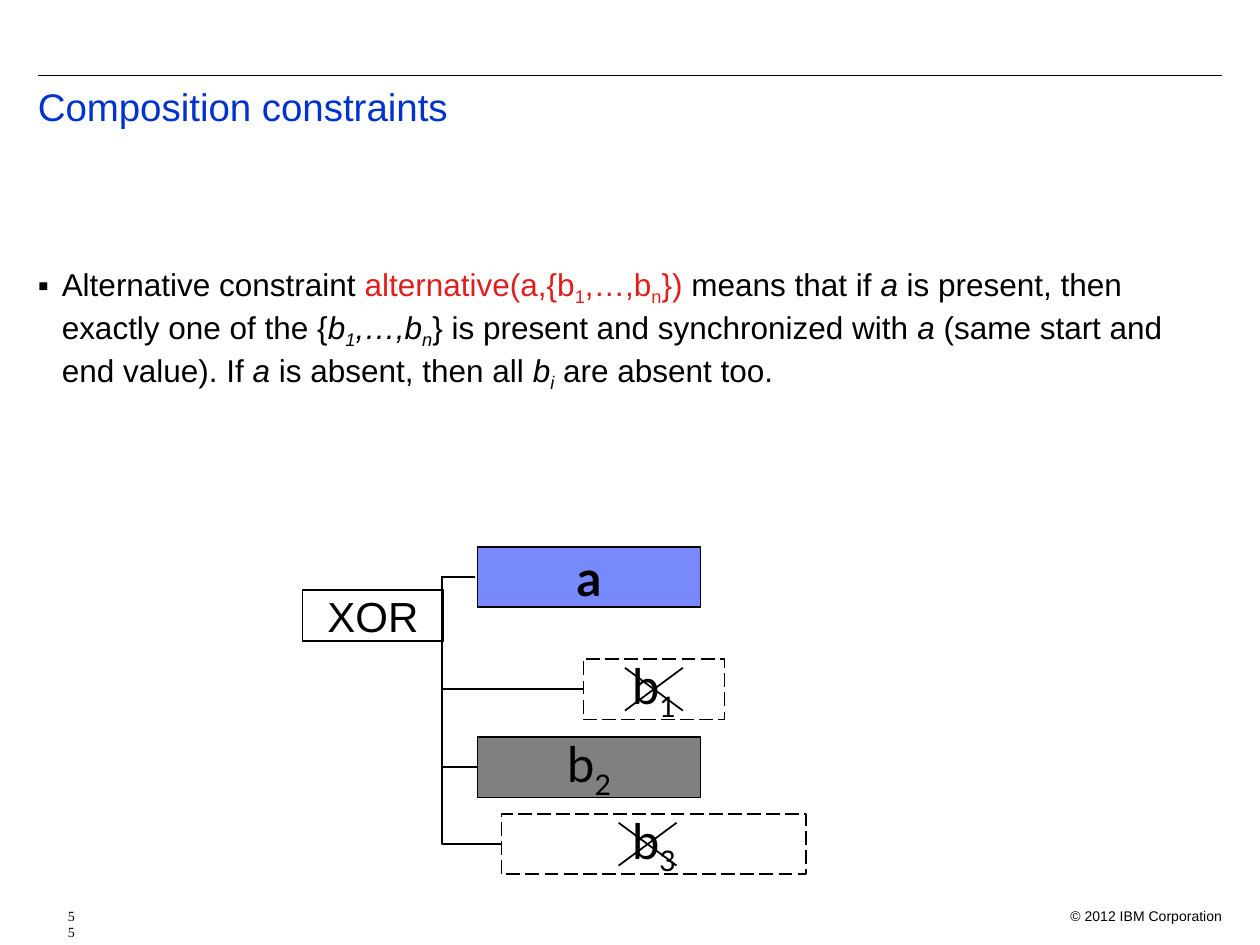
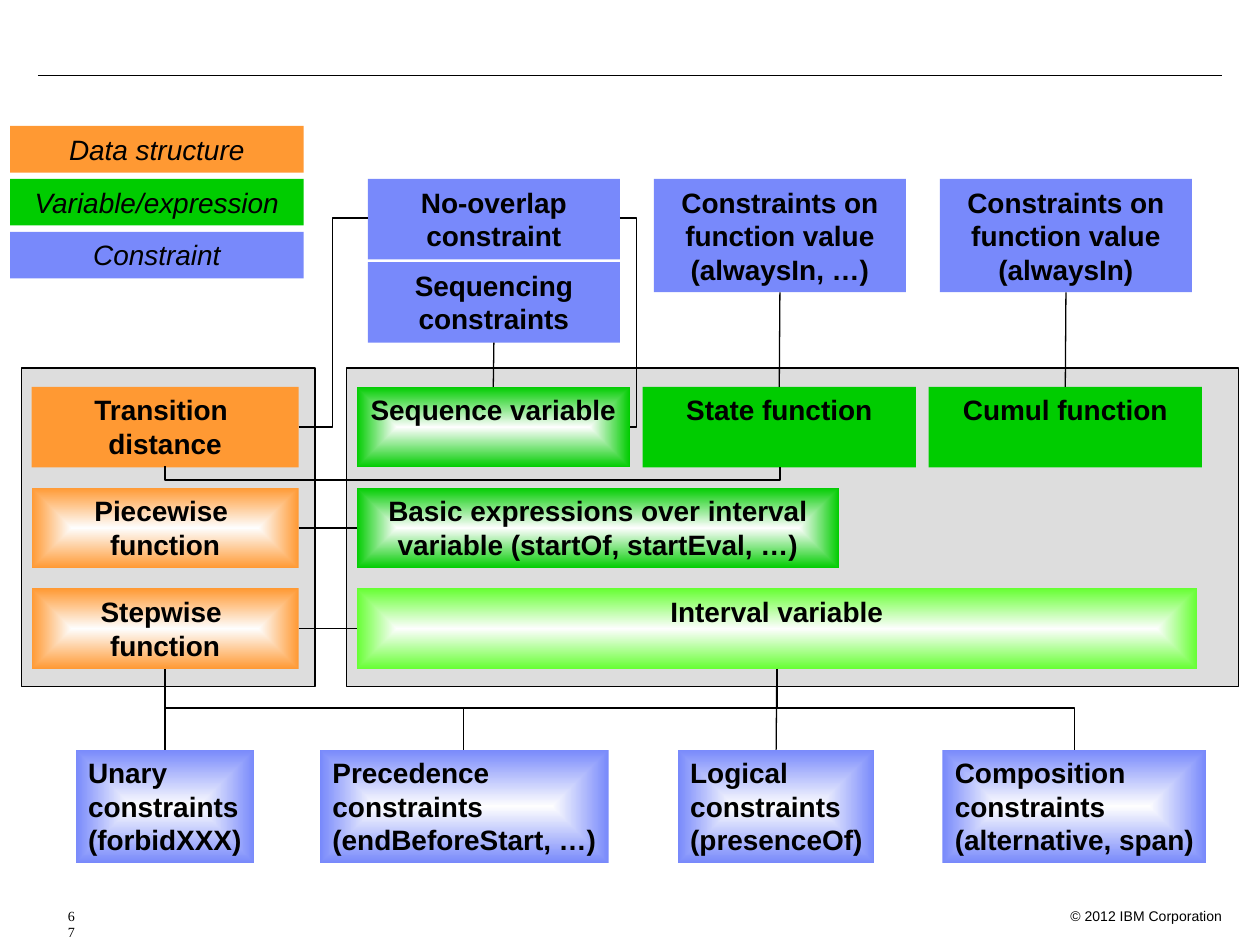
from pptx import Presentation
from pptx.dml.color import RGBColor
from pptx.enum import dml, shapes, text
from pptx.oxml import parse_xml
from pptx.oxml.ns import nsdecls, qn
from pptx.util import Inches, Pt

WIDTH, HEIGHT = 10, 7.5
BLACK, WHITE, PANEL_GREY, MID_GREY = "000000", "FFFFFF", "DDDDDD", "808080"
TITLE_BLUE, RED = "0033CC", "E01E1E"
ORANGE, GREEN, LIME, BLUE = "FF9933", "00CC00", "66FF33", "7889FB"
BODY_FONT, BOX_FONT, NUMBER_FONT = "Arial", "Lato", "Times New Roman"
LEFT, CENTER, RIGHT = text.PP_ALIGN.LEFT, text.PP_ALIGN.CENTER, text.PP_ALIGN.RIGHT
TOP_SIDE, LEFT_SIDE, BOTTOM_SIDE, RIGHT_SIDE = range(4)
DASH = dml.MSO_LINE.LONG_DASH

# Grid of the concept map
DATA_LEFT, DATA_WIDTH = 0.25, 2.12
VARIABLE_LEFT, COLUMN_STEP, COLUMN_WIDTH = 2.83, 2.27, 2.17
ROW_TOP, ROW_STEP = 3.07, 0.8
TWO_LINES, THREE_LINES = 0.64, 0.9
CONSTRAINT_TOP, LEAF_TOP = 1.42, 5.95


def color(hex_string):
    return RGBColor.from_string(hex_string)


def write(paragraph, content, size=16, font=BODY_FONT, ink=BLACK, bold=False,
          italic=False, align=LEFT):
    """Write a string, or (text, flags) pairs: i italic, s subscript, r red."""
    paragraph.alignment = align
    runs = [(content, "")] if isinstance(content, str) else content
    for words, flags in runs:
        run = paragraph.add_run()
        run.text = words
        run.font.name, run.font.size = font, Pt(size)
        run.font.bold, run.font.italic = bold, italic or "i" in flags
        run.font.color.rgb = color(RED if "r" in flags else ink)
        if "s" in flags:
            run.font._element.set("baseline", "-25000")


def write_lines(frame, lines, anchor=text.MSO_ANCHOR.TOP, wrap=True, **style):
    frame.word_wrap = wrap
    frame.auto_size = text.MSO_AUTO_SIZE.NONE
    frame.vertical_anchor = anchor
    for index, line in enumerate(lines):
        paragraph = frame.add_paragraph() if index else frame.paragraphs[0]
        write(paragraph, line, **style)


def place(shape, left, top, width, height):
    shape.left, shape.top = Inches(left), Inches(top)
    shape.width, shape.height = Inches(width), Inches(height)


def add_label(slide, left, top, width, height, content, **style):
    label = slide.shapes.add_textbox(*map(Inches, (left, top, width, height)))
    write_lines(label.text_frame, [content], **style)
    return label


def glow(shape, edge):
    """Fill from a pale centre out to the edge colour."""
    shape.fill.background()
    properties = shape.element.spPr
    gradient = parse_xml(
        f'<a:gradFill {nsdecls("a")} rotWithShape="1"><a:gsLst>'
        f'<a:gs pos="0"><a:srgbClr val="FEFEFE"/></a:gs>'
        f'<a:gs pos="100000"><a:srgbClr val="{edge}"/></a:gs></a:gsLst>'
        '<a:path path="rect"><a:fillToRect l="50000" t="50000" r="50000" b="50000"/>'
        '</a:path></a:gradFill>')
    properties.replace(properties.find(qn("a:noFill")), gradient)


def add_box(slide, left, top, width, height, fill, lines=(), outline=None,
            dash=None, glowing=False, **style):
    box = slide.shapes.add_shape(shapes.MSO_SHAPE.RECTANGLE,
                                 *map(Inches, (left, top, width, height)))
    box.shadow.inherit = False
    if outline:
        box.line.color.rgb, box.line.width = color(BLACK), Pt(outline)
        if dash:
            box.line.dash_style = dash
    else:
        box.line.fill.background()
    if glowing:
        glow(box, fill)
    else:
        box.fill.solid()
        box.fill.fore_color.rgb = color(fill)
    write_lines(box.text_frame, lines, **style)
    return box


def add_line(slide, start, end, weight=0.75, kind=shapes.MSO_CONNECTOR.STRAIGHT):
    line = slide.shapes.add_connector(kind, *map(Inches, (*start, *end)))
    line.line.color.rgb, line.line.width = color(BLACK), Pt(weight)
    line.element.spPr.append(parse_xml(f'<a:effectLst {nsdecls("a")}/>'))
    return line


def join(slide, first, first_side, second, second_side):
    line = add_line(slide, (0, 0), (1, 1))
    line.begin_connect(first, first_side)
    line.end_connect(second, second_side)


def set_bend(line, share):
    guides = line.element.spPr.find(qn("a:prstGeom")).find(qn("a:avLst"))
    guides.append(parse_xml(
        f'<a:gd {nsdecls("a")} name="adj1" fmla="val {round(share * 100000)}"/>'))


def add_side_elbow(slide, start, end, bend_x, weight=0.75):
    """Leave sideways, run up or down at bend_x, then reach the end sideways."""
    line = add_line(slide, start, end, weight, shapes.MSO_CONNECTOR.ELBOW)
    set_bend(line, (bend_x - start[0]) / (end[0] - start[0]))


def add_drop_elbow(slide, start, end, bend_y):
    """Leave downwards, run sideways at bend_y, then reach the end vertically."""
    (x1, y1), (x2, y2) = start, end
    center_x, center_y = (x1 + x2) / 2, (y1 + y2) / 2
    half_drop, half_run = (y2 - y1) / 2, abs(x2 - x1) / 2
    line = add_line(slide, (center_x - half_drop, center_y - half_run),
                    (center_x + half_drop, center_y + half_run),
                    kind=shapes.MSO_CONNECTOR.ELBOW)
    frame = line.element.spPr.xfrm
    frame.set("rot", str(90 * 60000))
    if x2 > x1:
        frame.set("flipV", "1")
    set_bend(line, (bend_y - y1) / (y2 - y1))


def add_cross(slide, center_x, center_y):
    left, right = center_x - 0.23, center_x + 0.23
    top, bottom = center_y - 0.17, center_y + 0.17
    add_line(slide, (left, top), (right, bottom), 1)
    add_line(slide, (right, top), (left, bottom), 1)


def add_master_parts(presentation, slide):
    """Put the rule and the copyright line on the master, for every slide."""
    rule = add_line(slide, (0.3, 0.6), (WIDTH - 0.3, 0.6))
    footer = add_label(slide, 8.3, 7.15, 1.5, 0.2, "© 2012 IBM Corporation",
                       size=8, align=RIGHT)
    for part in (rule, footer):
        presentation.slide_master.shapes.element.append(part.element)


def add_number(slide, number):
    label = add_label(slide, 0.2, 7.15, 0.4, 0.2, number, size=8, font=NUMBER_FONT)
    properties = label.text_frame.paragraphs[0]._p.get_or_add_pPr()
    properties.set("marL", str(Inches(0.24)))


def set_title(slide, words):
    title = slide.shapes.title
    place(title, 0.2, 0.65, 9.5, 0.7)
    write_lines(title.text_frame, [words], size=22, ink=TITLE_BLUE)
    title.text_frame.paragraphs[0].line_spacing = 0.9


def set_bullet(slide, runs):
    body = slide.placeholders[1]
    place(body, 0.2, 2.05, 9.5, 4.9)
    write_lines(body.text_frame, [runs], size=18)
    paragraph = body.text_frame.paragraphs[0]
    paragraph.space_before = Pt(0)
    properties = paragraph._p.get_or_add_pPr()
    properties.set("marL", str(Inches(0.19)))
    properties.set("indent", str(-Inches(0.19)))
    for tag in (f'<a:buClr {nsdecls("a")}><a:srgbClr val="{BLACK}"/></a:buClr>',
                f'<a:buFont {nsdecls("a")} typeface="{BODY_FONT}"/>',
                f'<a:buChar {nsdecls("a")} char="▪"/>'):
        properties.append(parse_xml(tag))


def add_alternative_diagram(slide):
    def interval(left, top, width, fill, label, **style):
        add_box(slide, left, top, width, 0.48, fill, [label], outline=1, size=28,
                font=BOX_FONT, align=CENTER, anchor=text.MSO_ANCHOR.MIDDLE,
                wrap=False, **style)

    def indexed(number):
        return [("b", ""), (number, "s")]

    interval(3.79, 5.85, 1.77, MID_GREY, indexed("2"))
    interval(3.98, 6.46, 2.42, WHITE, indexed("3"), dash=DASH)
    add_cross(slide, 5.14, 6.7)
    interval(3.79, 4.34, 1.77, BLUE, "a", bold=True)
    add_box(slide, 2.4, 4.68, 1.12, 0.41, WHITE, ["XOR"], outline=1, size=24,
            align=CENTER, anchor=text.MSO_ANCHOR.MIDDLE, wrap=False)
    for end in ((4.63, 5.47), (3.79, 6.09), (3.98, 6.7)):
        add_side_elbow(slide, (3.77, 4.58), end, 3.51, weight=1)
    interval(4.63, 5.23, 1.12, WHITE, indexed("1"), dash=DASH)
    add_cross(slide, 5.19, 5.47)


def build_composition_slide(slide):
    set_title(slide, "Composition constraints")
    set_bullet(slide, [
        ("Alternative constraint ", ""), ("alternative(a,{b", "r"), ("1", "rs"),
        (",…,b", "r"), ("n", "rs"), ("}) ", "r"), ("means that if ", ""), ("a", "i"),
        (" is present, then exactly one of the {", ""), ("b", "i"), ("1", "is"),
        (",…,b", "i"), ("n", "is"), ("} is present and synchronized with ", ""),
        ("a", "i"), (" (same start and end value). If ", ""), ("a", "i"),
        (" is absent, then all ", ""), ("b", "i"), ("i", "is"),
        (" are absent too.", "")])
    add_alternative_diagram(slide)
    add_number(slide, "55")


def build_concept_map(slide):
    def concept(left, top, width, height, fill, *lines, align=CENTER, **style):
        return add_box(slide, left, top, width, height, fill, lines, bold=True,
                       align=align, **style)

    def column(index):
        return VARIABLE_LEFT + index * COLUMN_STEP

    def row(index):
        return ROW_TOP + index * ROW_STEP

    for left, width in ((0.17, 2.33), (2.75, 7.08)):
        add_box(slide, left, 2.92, width, 2.53, PANEL_GREY, outline=0.75)

    transition, piecewise, stepwise = [
        concept(DATA_LEFT, row(index), DATA_WIDTH, TWO_LINES, ORANGE, *lines,
                glowing=index > 0)
        for index, lines in enumerate((("Transition ", "distance"),
                                       ("Piecewise ", "function"),
                                       ("Stepwise ", "function")))]
    sequence, state, cumul = [
        concept(column(index), row(0), COLUMN_WIDTH, TWO_LINES, GREEN, name,
                glowing=index == 0)
        for index, name in enumerate(("Sequence variable", "State function",
                                      "Cumul function"))]
    expressions = concept(
        VARIABLE_LEFT, row(1), 3.83, TWO_LINES, GREEN,
        "Basic expressions over interval variable (startOf, startEval, …)", glowing=True)
    interval = concept(VARIABLE_LEFT, row(2), 6.67, TWO_LINES, LIME,
                       "Interval variable", glowing=True)

    _, sequencing, state_limits, cumul_limits = [
        concept(column(index) + 0.09, top, 2, height, BLUE, *lines)
        for index, top, height, lines in (
            (0, CONSTRAINT_TOP, TWO_LINES, ("No-overlap", "constraint")),
            (0, 2.08, TWO_LINES, ("Sequencing", "constraints")),
            (1, CONSTRAINT_TOP, THREE_LINES,
             ("Constraints on function value", "(alwaysIn, …)")),
            (2, CONSTRAINT_TOP, THREE_LINES,
             ("Constraints on function value", "(alwaysIn)")))]
    unary, _, logical, _ = [
        concept(left, LEAF_TOP, width, THREE_LINES, BLUE, name, "constraints", example,
                align=LEFT, wrap=False, glowing=True)
        for left, width, name, example in (
            (0.6, 1.42, "Unary", "(forbidXXX)"),
            (2.54, 2.29, "Precedence", "(endBeforeStart, …)"),
            (5.38, 1.56, "Logical", "(presenceOf)"),
            (7.48, 2.09, "Composition", "(alternative, span)"))]

    for upper, lower in ((stepwise, unary), (interval, logical), (sequencing, sequence),
                         (state_limits, state), (cumul_limits, cumul)):
        join(slide, upper, BOTTOM_SIDE, lower, TOP_SIDE)
    for data, variable in ((piecewise, expressions), (stepwise, interval)):
        join(slide, data, RIGHT_SIDE, variable, LEFT_SIDE)
    for leaf_x in (1.31, 3.68, 8.53):
        add_drop_elbow(slide, (6.17, 5.31), (leaf_x, LEAF_TOP), 5.62)
    add_drop_elbow(slide, (1.31, 3.7), (6.19, 3.71), 3.81)
    add_side_elbow(slide, (2.37, 3.39), (2.92, 1.73), 2.64)
    add_side_elbow(slide, (4.92, 1.73), (5, 3.39), 5.05)

    for index, (fill, name) in enumerate(((ORANGE, "Data structure"),
                                          (GREEN, "Variable/expression"),
                                          (BLUE, "Constraint"))):
        add_box(slide, 0.08, 1 + index * 0.42, 2.33, 0.37, fill, [name],
                italic=True, align=CENTER)
    add_number(slide, "67")


def main():
    presentation = Presentation()
    presentation.slide_width, presentation.slide_height = Inches(WIDTH), Inches(HEIGHT)
    content_layout, blank_layout = (presentation.slide_layouts[i] for i in (1, 6))
    composition = presentation.slides.add_slide(content_layout)
    add_master_parts(presentation, composition)
    build_composition_slide(composition)
    build_concept_map(presentation.slides.add_slide(blank_layout))
    presentation.save("out.pptx")


if __name__ == "__main__":
    main()
